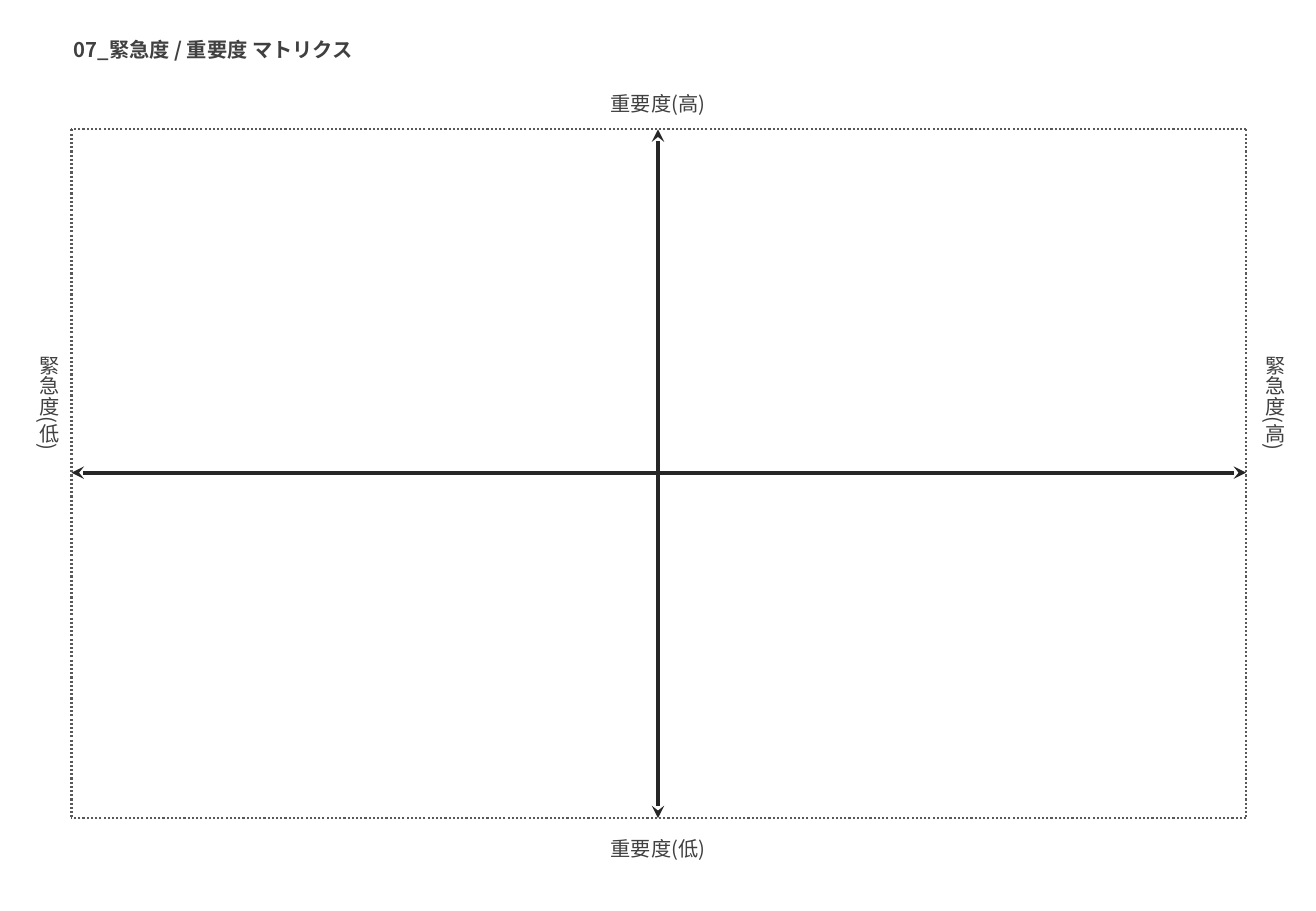
from dataclasses import dataclass
from typing import Optional

from lxml import etree
from pptx import Presentation
from pptx.dml.color import RGBColor
from pptx.enum.dml import MSO_LINE
from pptx.enum.shapes import MSO_CONNECTOR
from pptx.enum.text import MSO_AUTO_SIZE, PP_ALIGN
from pptx.oxml.ns import qn
from pptx.slide import Slide
from pptx.util import Pt

STRAIGHT = MSO_CONNECTOR.STRAIGHT
DOT = MSO_LINE.ROUND_DOT
GROW = MSO_AUTO_SIZE.SHAPE_TO_FIT_TEXT
LEFT, CENTER = PP_ALIGN.LEFT, PP_ALIGN.CENTER


@dataclass(frozen=True)
class Theme:
    font: str = "Noto Sans CJK JP"
    size: float = 12
    text: str = "404040"
    axis: str = "262626"
    edge: str = "595959"
    thick: float = 2.5
    thin: float = 1.25


@dataclass(frozen=True)
class Label:
    text: str
    x: float
    y: float
    w: float
    h: float
    turn: bool = False
    title: bool = False


@dataclass(frozen=True)
class Line:
    x1: float
    y1: float
    x2: float
    y2: float
    axis: bool = False


THEME = Theme()
WIDTH, HEIGHT = 780, 540
WEST, EAST, NORTH, SOUTH = 42.4, 738.6, 76.7, 485
MID_X, MID_Y = 390, 280.2
WIDE, TALL = 240, 153.5

LINES = [
    Line(MID_X, NORTH, MID_X, SOUTH, axis=True),
    Line(WEST, MID_Y, EAST, MID_Y, axis=True),
    Line(EAST, NORTH, WEST, NORTH),
    Line(EAST, SOUTH, WEST, SOUTH),
    Line(EAST, NORTH, EAST, SOUTH),
    Line(WEST, NORTH, WEST, SOUTH),
]

LABELS = [
    Label("重要度(高)", MID_X - WIDE / 2, 47.5, WIDE, 24.5),
    Label("重要度(低)", MID_X - WIDE / 2, 489.6, WIDE, 24.5),
    Label("緊急度(高)", 737.3, 203.8, 31.7, TALL, turn=True),
    Label("緊急度(低)", 10.8, 203.8, 31.7, TALL, turn=True),
    Label("07_緊急度 / 重要度 マトリクス", 36.7, 18.7, 191.5, 21.6, title=True),
]


def draw_line(slide: Slide, item: Line) -> None:
    shape = slide.shapes.add_connector(
        STRAIGHT, Pt(item.x1), Pt(item.y1), Pt(item.x2), Pt(item.y2)
    )
    line = shape.line
    line.color.rgb = RGBColor.from_string(THEME.axis if item.axis else THEME.edge)
    line.width = Pt(THEME.thick if item.axis else THEME.thin)
    props = shape._element.spPr
    if item.axis:
        stroke = props.find(qn("a:ln"))
        for end in ("a:headEnd", "a:tailEnd"):
            etree.SubElement(stroke, qn(end), type="stealth")
    else:
        line.dash_style = DOT
    etree.SubElement(props, qn("a:effectLst"))


def draw_label(slide: Slide, item: Label, turn: Optional[str] = "eaVert") -> None:
    box = slide.shapes.add_textbox(Pt(item.x), Pt(item.y), Pt(item.w), Pt(item.h))
    frame = box.text_frame
    frame.word_wrap = not item.title
    frame.auto_size = GROW
    if item.turn:
        frame._txBody.bodyPr.set("vert", turn)
    para = frame.paragraphs[0]
    para.alignment = LEFT if item.title else CENTER
    if not item.title:
        para.line_spacing = 1.2
    run = para.add_run()
    run.text = item.text
    font = run.font
    font.size = Pt(THEME.size)
    font.bold = item.title
    font.color.rgb = RGBColor.from_string(THEME.text)
    font.name = THEME.font
    etree.SubElement(run._r.get_or_add_rPr(), qn("a:ea"), typeface=THEME.font)


def main() -> None:
    deck = Presentation()
    deck.slide_width, deck.slide_height = Pt(WIDTH), Pt(HEIGHT)
    slide = deck.slides.add_slide(deck.slide_layouts[6])
    for line in LINES:
        draw_line(slide, line)
    for label in LABELS:
        draw_label(slide, label)
    deck.save("out.pptx")


if __name__ == "__main__":
    main()
